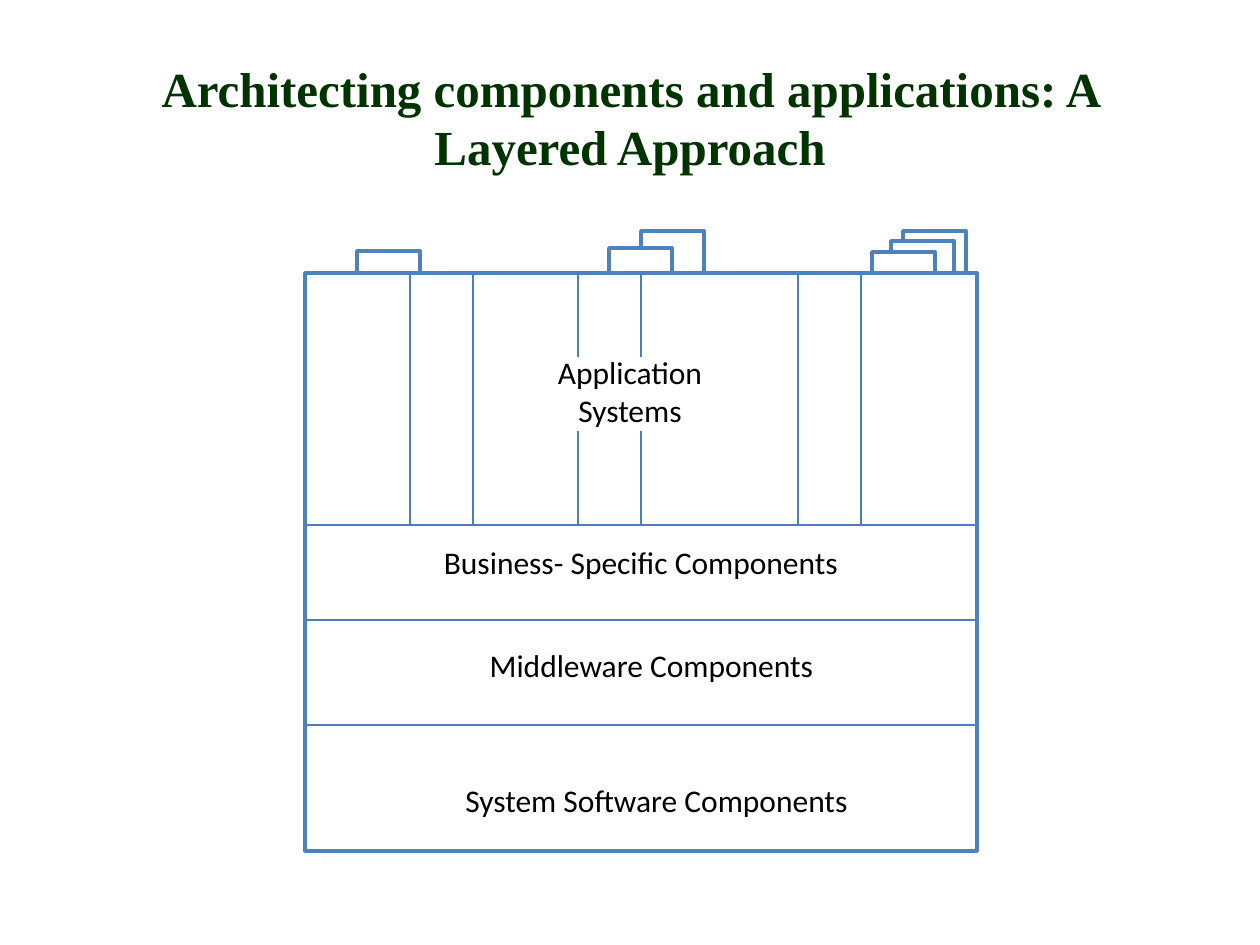
from pptx import Presentation
from pptx.dml.color import RGBColor
from pptx.enum.shapes import MSO_CONNECTOR as Connector, MSO_SHAPE as Shape
from pptx.enum.text import MSO_ANCHOR as Anchor, MSO_AUTO_SIZE as AutoSize, PP_ALIGN as Align
from pptx.oxml.ns import qn
from pptx.util import Pt
from lxml.etree import SubElement

EMU_PER_PX = 914400 / 126
GREEN = RGBColor(0x00, 0x33, 0x00)
BLUE = RGBColor(0x4F, 0x81, 0xBD)
DIVIDER = RGBColor(0x4B, 0x7E, 0xBC)
WHITE = RGBColor(0xFF, 0xFF, 0xFF)
BLACK = RGBColor(0x00, 0x00, 0x00)


def px(*lengths):
    return [round(length * EMU_PER_PX) for length in lengths]


def write(frame, text, font="Calibri", size=18, color=BLACK, bold=False, anchor=Anchor.TOP):
    frame.word_wrap = True
    frame.vertical_anchor = anchor
    paragraph = frame.paragraphs[0]
    paragraph.alignment = Align.CENTER
    run = paragraph.add_run()
    run.text = text
    run.font.name, run.font.size, run.font.bold = font, Pt(size), bold
    run.font.color.rgb = color


class LayerDiagram:
    """Holds the slide, its diagram group and the line style."""

    def __init__(self, slide, outline=2, divider=0.75):
        self.slide = slide
        self.group = slide.shapes.add_group_shape().shapes
        self.outline, self.divider = Pt(outline), Pt(divider)

    def title(self, text, left, top, width, height):
        heading = self.slide.shapes.title
        heading.left, heading.top, heading.width, heading.height = px(left, top, width, height)
        write(heading.text_frame, text, font="Times New Roman", size=28,
              color=GREEN, bold=True, anchor=Anchor.MIDDLE)

    def box(self, left, top, width, height, text=None):
        box = self.group.add_shape(Shape.RECTANGLE, *px(left, top, width, height))
        box.shadow.inherit = False
        box.fill.solid()
        box.fill.fore_color.rgb = WHITE
        box.line.color.rgb = BLUE
        box.line.width = self.outline
        if text:
            write(box.text_frame, text, anchor=Anchor.MIDDLE)

    def line(self, x1, y1, x2, y2):
        line = self.group.add_connector(Connector.STRAIGHT, *px(x1, y1, x2, y2))
        line.line.color.rgb = DIVIDER
        line.line.width = self.divider
        SubElement(line._element.spPr, qn("a:effectLst"))

    def label(self, text, left, top, width, height):
        label = self.group.add_textbox(*px(left, top, width, height))
        write(label.text_frame, text)
        label.text_frame.auto_size = AutoSize.SHAPE_TO_FIT_TEXT


def main():
    deck = Presentation()
    deck.slide_width, deck.slide_height = px(1260, 945)
    diagram = LayerDiagram(deck.slides.add_slide(deck.slide_layouts[5]))
    diagram.title("Architecting components and applications: A Layered Approach",
                  63, 38, 1134, 158)

    # Tabs that peek out above the stack, back to front
    for left, top, height in [(641, 231, 64), (609, 248, 64), (357, 251, 64),
                              (903, 231, 53), (891, 241, 64), (872, 252, 64)]:
        diagram.box(left, top, 63, height)

    # Stack of layers
    left, top, width, height = 305, 273, 672, 578
    systems_bottom = 525
    diagram.box(left, top, width, height, "Business- Specific Components")
    for layer_top in (systems_bottom, 620, 725):
        diagram.line(left, layer_top, left + width, layer_top)

    # Layer names
    diagram.label("Middleware Components", 431, 640, 441, 50)
    diagram.label("System Software Components", 420, 775, 473, 50)
    diagram.label("Application Systems", 504, 347, 252, 89)

    # Application columns; the middle pair leaves room for the name
    for x in (410, 473, 798, 861):
        diagram.line(x, top, x, systems_bottom)
    for x in (578, 641):
        diagram.line(x, top, x, 357)
        diagram.line(x, 431, x, systems_bottom)

    deck.save("out.pptx")


if __name__ == "__main__":
    main()
